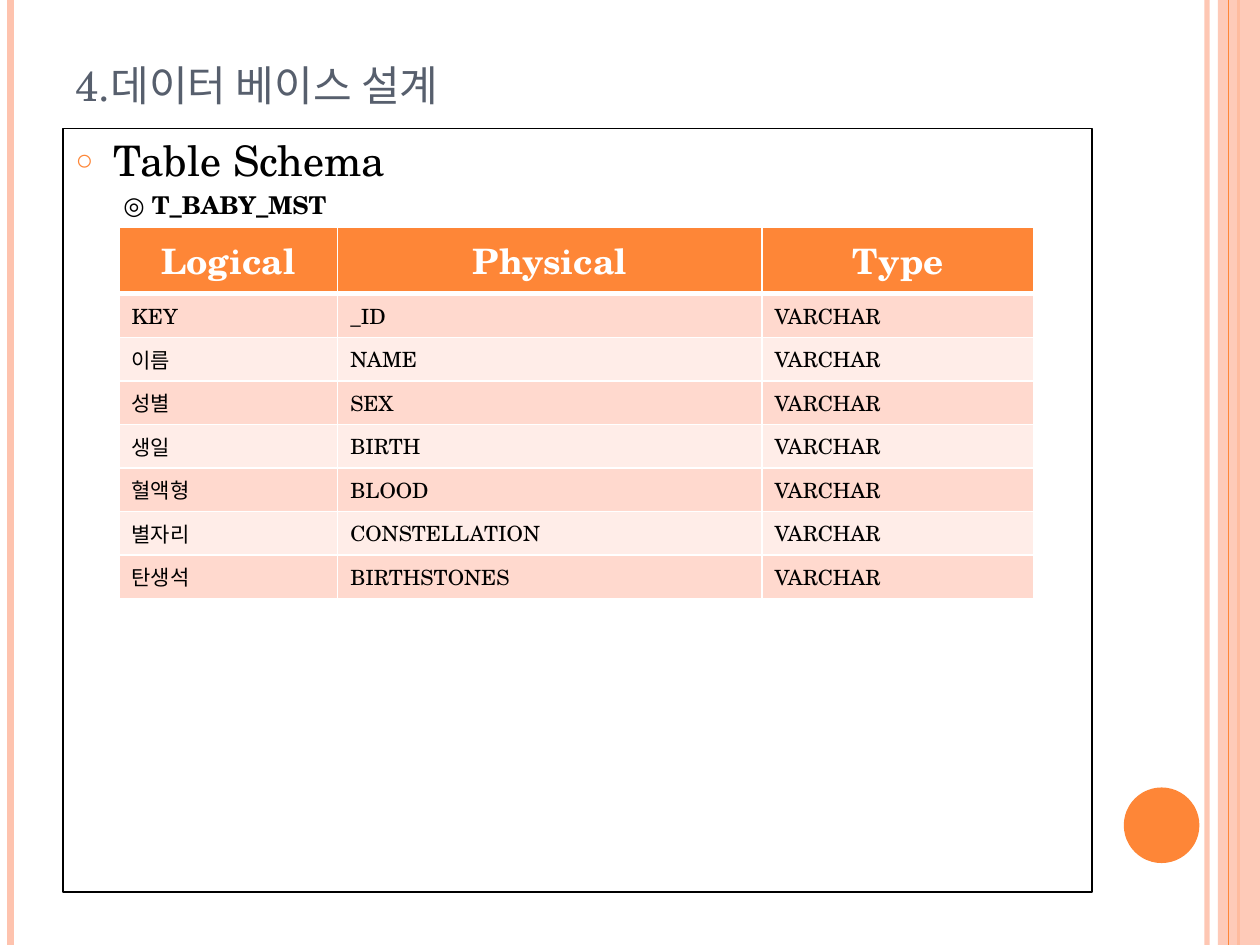
from dataclasses import dataclass

from lxml import etree
from pptx import Presentation
from pptx.dml.color import RGBColor
from pptx.enum.shapes import MSO_CONNECTOR, MSO_SHAPE
from pptx.enum.text import MSO_ANCHOR, MSO_AUTO_SIZE, PP_ALIGN
from pptx.oxml.ns import qn
from pptx.util import Pt

STRAIGHT = MSO_CONNECTOR.STRAIGHT
RECTANGLE, OVAL = MSO_SHAPE.RECTANGLE, MSO_SHAPE.OVAL
BOTTOM, TOP = MSO_ANCHOR.BOTTOM, MSO_ANCHOR.TOP
LEFT, CENTER = PP_ALIGN.LEFT, PP_ALIGN.CENTER
NO_AUTOFIT, GROW = MSO_AUTO_SIZE.NONE, MSO_AUTO_SIZE.SHAPE_TO_FIT_TEXT

FONT = "TeX Gyre Schola"
SLIDE_WIDTH, SLIDE_HEIGHT = 720, 540
COLORS = {
    "accent": "FE8637",
    "pale": "FEC3AE",
    "title": "575F6D",
    "text": "000000",
    "white": "FFFFFF",
    "odd_row": "FFD9CE",
    "even_row": "FFEDE8",
}


@dataclass
class Stripe:
    x: float
    width: float
    color: str
    opacity: int = 100


@dataclass
class Block:
    kind: int
    left: float
    top: float
    width: float
    height: float
    color: str
    opacity: int = 100


STRIPES_BEHIND = [Stripe(689.8, 3, "pale", 93), Stripe(6, 4.5, "pale"),
                  Stripe(707.8, 1.5, "accent")]
EDGE_BAND = Block(RECTANGLE, 696, 0, 24, SLIDE_HEIGHT, "pale", 87)
STRIPE_ON_BAND = Stripe(702, 0.75, "accent")
DOT = Block(OVAL, 642.2, 450, 43.2, 43.2, "accent")

COLUMN_WIDTHS = [125, 242.5, 155.5]
HEADER_HEIGHT, ROW_HEIGHT = 37.6, 24.85
HEADINGS = ("Logical", "Physical", "Type")
FIELDS = [
    ("KEY", "_ID"),
    ("이름", "NAME"),
    ("성별", "SEX"),
    ("생일", "BIRTH"),
    ("혈액형", "BLOOD"),
    ("별자리", "CONSTELLATION"),
    ("탄생석", "BIRTHSTONES"),
]


def rgb(name: str) -> RGBColor:
    return RGBColor.from_string(COLORS[name])


def set_opacity(element, percent: int) -> None:
    if percent < 100:
        color = element.find(".//" + qn("a:srgbClr"))
        etree.SubElement(color, qn("a:alpha"), val=str(percent * 1000))


def place(shape, left: float, top: float, width: float, height: float) -> None:
    box = {"left": left, "top": top, "width": width, "height": height}
    for name, value in box.items():
        setattr(shape, name, Pt(value))


def write(paragraph, text: str, size: float, color: str, bold: bool = False):
    run = paragraph.add_run()
    run.text = text
    for name, value in {"name": FONT, "size": Pt(size), "bold": bold}.items():
        setattr(run.font, name, value)
    run.font.color.rgb = rgb(color)
    return run


def draw_stripe(slide, stripe: Stripe) -> None:
    line = slide.shapes.add_connector(
        STRAIGHT, Pt(stripe.x), Pt(0), Pt(stripe.x), Pt(SLIDE_HEIGHT))
    line.line.width = Pt(stripe.width)
    line.line.color.rgb = rgb(stripe.color)
    properties = line._element.spPr
    set_opacity(properties, stripe.opacity)
    etree.SubElement(properties, qn("a:effectLst"))


def draw_block(slide, block: Block) -> None:
    shape = slide.shapes.add_shape(
        block.kind, Pt(block.left), Pt(block.top), Pt(block.width), Pt(block.height))
    shape.shadow.inherit = False
    shape.fill.solid()
    shape.fill.fore_color.rgb = rgb(block.color)
    shape.line.fill.background()
    set_opacity(shape._element.spPr, block.opacity)


def add_title(slide) -> None:
    title = slide.shapes.title
    place(title, 36, 21.6, 588, 46)
    frame = title.text_frame
    for name, value in {"vertical_anchor": BOTTOM, "auto_size": NO_AUTOFIT}.items():
        setattr(frame, name, value)
    paragraph = frame.paragraphs[0]
    paragraph.alignment = LEFT
    run = write(paragraph, "4.데이터 베이스 설계", 30, "title")
    run.font._element.set("cap", "small")


def add_body(slide) -> None:
    body = slide.placeholders[1]
    place(body, 36, 73.4, 588, 436.4)
    body.line.color.rgb = rgb("text")
    body.line.width = Pt(1)
    frame = body.text_frame
    for name, value in {"vertical_anchor": TOP, "auto_size": NO_AUTOFIT}.items():
        setattr(frame, name, value)
    paragraph = frame.paragraphs[0]
    paragraph.space_before = Pt(6)
    # Hollow round bullet with a hanging indent
    properties = paragraph._p.get_or_add_pPr()
    for name, value in {"marL": Pt(21.6), "indent": Pt(-21.6)}.items():
        properties.set(name, str(value))
    color = etree.SubElement(properties, qn("a:buClr"))
    etree.SubElement(color, qn("a:srgbClr"), val=COLORS["accent"])
    etree.SubElement(properties, qn("a:buSzPct"), val="70000")
    etree.SubElement(properties, qn("a:buChar"), char="○")
    write(paragraph, "Table Schema", 24, "text")


def set_borders(cell, bottom_width: float) -> None:
    properties = cell._tc.get_or_add_tcPr()
    for side, width in {"L": 1, "R": 1, "T": 1, "B": bottom_width}.items():
        line = etree.SubElement(properties, qn(f"a:ln{side}"), w=str(Pt(width)))
        fill = etree.SubElement(line, qn("a:solidFill"))
        etree.SubElement(fill, qn("a:srgbClr"), val=COLORS["white"])


def add_schema_table(slide) -> None:
    rows = [HEADINGS] + [(*field, "VARCHAR") for field in FIELDS]
    height = HEADER_HEIGHT + ROW_HEIGHT * len(FIELDS)
    table = slide.shapes.add_table(
        len(rows), len(HEADINGS), Pt(68), Pt(129.7),
        Pt(sum(COLUMN_WIDTHS)), Pt(height)).table
    for column, width in zip(table.columns, COLUMN_WIDTHS):
        column.width = Pt(width)
    for index, values in enumerate(rows):
        header = index == 0
        table.rows[index].height = Pt(HEADER_HEIGHT if header else ROW_HEIGHT)
        fill = "accent" if header else ("odd_row" if index % 2 else "even_row")
        for cell, text in zip(table.rows[index].cells, values):
            set_borders(cell, 3 if header else 1)
            cell.fill.solid()
            cell.fill.fore_color.rgb = rgb(fill)
            paragraph = cell.text_frame.paragraphs[0]
            paragraph.alignment = CENTER if header else LEFT
            write(paragraph, text, 20 if header else 12,
                  "white" if header else "text", header)


def add_table_name(slide) -> None:
    label = slide.shapes.add_textbox(Pt(63.4), Pt(105), Pt(133.2), Pt(24.5))
    label.text_frame.word_wrap = False
    label.text_frame.auto_size = GROW
    write(label.text_frame.paragraphs[0], "◎ T_BABY_MST", 14, "text", True)


def main() -> None:
    presentation = Presentation()
    presentation.slide_width = Pt(SLIDE_WIDTH)
    presentation.slide_height = Pt(SLIDE_HEIGHT)
    slide = presentation.slides.add_slide(presentation.slide_layouts[1])

    # Side decoration
    for stripe in STRIPES_BEHIND:
        draw_stripe(slide, stripe)
    draw_block(slide, EDGE_BAND)
    draw_stripe(slide, STRIPE_ON_BAND)
    draw_block(slide, DOT)

    # Content
    add_title(slide)
    add_body(slide)
    add_schema_table(slide)
    add_table_name(slide)
    presentation.save("out.pptx")


if __name__ == "__main__":
    main()
